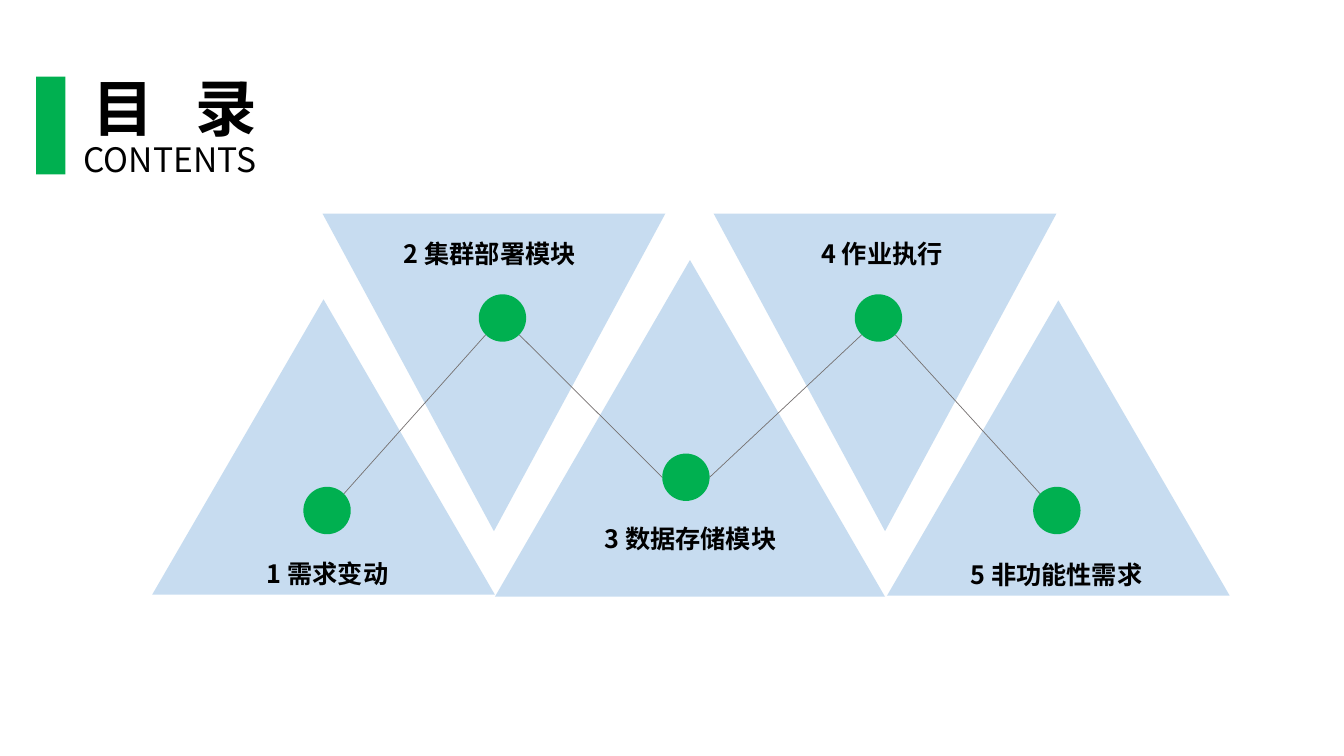
import dataclasses
import math

import lxml.etree
import pptx
import pptx.dml.color
import pptx.enum.shapes
import pptx.enum.text
import pptx.oxml.ns
import pptx.util

SHAPES = pptx.enum.shapes.MSO_SHAPE
ALIGN = pptx.enum.text.PP_ALIGN
COLUMNS, ROWS = 160, 90
WIDTH, HEIGHT = pptx.util.Inches(13.33), pptx.util.Inches(7.5)
NODE_SIZE = 5.64
DIAGONAL = math.sqrt(0.5)


@dataclasses.dataclass(frozen=True)
class Theme:
    """Colours, type sizes and font of the slide."""
    accent: str = "00B050"
    triangle: str = "5B9BD5"
    opacity: int = 34
    line: str = "767171"
    text: str = "000000"
    font: str = "Noto Sans CJK SC"
    title: int = 44
    subtitle: int = 24
    label: int = 18
    stroke: float = 0.5


@dataclasses.dataclass(frozen=True)
class Topic:
    """One contents entry: its triangle, node and label on the grid."""
    text: str
    triangle: tuple
    node: tuple
    label: tuple
    inverted: bool = False


THEME = Theme()
TOPICS = (
    Topic("1 需求变动", (18.12, 35.64, 40.8, 35.16), (36.12, 57.96), (21, 65.88)),
    Topic("2 集群部署模块", (38.4, 25.44, 40.8, 37.8), (57, 35.04), (40.3, 27.84), True),
    Topic("3 数据存储模块", (58.92, 30.96, 46.44, 40.08), (78.84, 54), (64.2, 61.68)),
    Topic("4 作业执行", (84.96, 25.44, 40.8, 37.8), (101.76, 35.04), (87, 27.84), True),
    Topic("5 非功能性需求", (105.6, 35.76, 40.8, 35.16), (123, 57.96), (107.76, 66)),
)
LINK_ENDS = (
    ((DIAGONAL, -DIAGONAL), (-DIAGONAL, DIAGONAL)),
    ((DIAGONAL, DIAGONAL), (-1, 0)),
    ((1, 0), (-DIAGONAL, DIAGONAL)),
    ((DIAGONAL, DIAGONAL), (-DIAGONAL, -DIAGONAL)),
)


def across(columns):
    """Convert grid columns to a length."""
    return round(WIDTH * columns / COLUMNS)


def down(rows):
    """Convert grid rows to a length."""
    return round(HEIGHT * rows / ROWS)


def place(left, top, width, height):
    """Convert a grid rectangle to lengths."""
    return across(left), down(top), across(width), down(height)


def add_child(parent, tag, **attributes):
    """Append an XML element with attributes."""
    return lxml.etree.SubElement(parent, pptx.oxml.ns.qn(tag), attributes)


def add_filled(page, kind, area, color, opacity=100, rotation=0):
    """Add an unlined preset shape with a solid fill."""
    shape = page.shapes.add_shape(kind, *place(*area))
    shape.shadow.inherit = False
    shape.rotation = rotation
    shape.line.fill.background()
    shape.fill.solid()
    shape.fill.fore_color.rgb = pptx.dml.color.RGBColor.from_string(color)
    if opacity < 100:
        tint = shape.fill._xPr.find(".//" + pptx.oxml.ns.qn("a:srgbClr"))
        add_child(tint, "a:alpha", val=str(opacity * 1000))


def add_span(para, text, size, bold=False, tracking=0):
    """Add a formatted run of text, with tracking in points."""
    span = para.add_run()
    span.text = text
    span.font.size = pptx.util.Pt(size)
    span.font.bold = bold
    span.font.name = THEME.font
    span.font.color.rgb = pptx.dml.color.RGBColor.from_string(THEME.text)
    properties = span._r.get_or_add_rPr()
    add_child(properties, "a:ea", typeface=THEME.font)
    if tracking:
        properties.set("spc", str(tracking * 100))


def add_text(page, area, spans, align=ALIGN.CENTER, **style):
    """Add a one-paragraph text box from (text, tracking) spans."""
    frame = page.shapes.add_textbox(*place(*area)).text_frame
    frame.word_wrap = True
    frame.auto_size = pptx.enum.text.MSO_AUTO_SIZE.SHAPE_TO_FIT_TEXT
    para = frame.paragraphs[0]
    para.alignment = align
    for text, tracking in spans:
        add_span(para, text, tracking=tracking, **style)


def node_point(topic, direction):
    """Return the point on a node's rim in a given direction."""
    left, top = topic.node
    radius = NODE_SIZE / 2
    return (across(left + radius * (1 + direction[0])),
            down(top + radius * (1 + direction[1])))


def add_link(page, start, end, directions):
    """Draw a thin line between the rims of two nodes."""
    link = page.shapes.add_connector(
        pptx.enum.shapes.MSO_CONNECTOR.STRAIGHT,
        *node_point(start, directions[0]), *node_point(end, directions[1]))
    link.line.color.rgb = pptx.dml.color.RGBColor.from_string(THEME.line)
    link.line.width = pptx.util.Pt(THEME.stroke)
    add_child(link._element.spPr, "a:effectLst")


def add_heading(page):
    """Add the accent bar and the two-line heading."""
    add_filled(page, SHAPES.RECTANGLE, (4.32, 9.12, 3.48, 11.64), THEME.accent)
    add_text(page, (7.8, 7.68, 26.04, 10.08), [("目 ", 10), ("录", 0)],
             size=THEME.title, bold=True)
    add_text(page, (8.76, 15.96, 23.76, 6), [("CONTENTS", 0)],
             align=ALIGN.LEFT, size=THEME.subtitle)


def main():
    """Build and save the contents slide."""
    deck = pptx.Presentation()
    deck.slide_width, deck.slide_height = WIDTH, HEIGHT
    page = deck.slides.add_slide(deck.slide_layouts[6])
    for topic in TOPICS:
        add_filled(page, SHAPES.ISOSCELES_TRIANGLE, topic.triangle, THEME.triangle,
                   opacity=THEME.opacity, rotation=180 if topic.inverted else 0)
    add_heading(page)
    for start, end, directions in zip(TOPICS, TOPICS[1:], LINK_ENDS):
        add_link(page, start, end, directions)
    for topic in TOPICS:
        add_filled(page, SHAPES.OVAL, (*topic.node, NODE_SIZE, NODE_SIZE), THEME.accent)
        add_text(page, (*topic.label, 36, 4.8), [(topic.text, 0)],
                 size=THEME.label, bold=True)
    deck.save("out.pptx")


if __name__ == "__main__":
    main()
